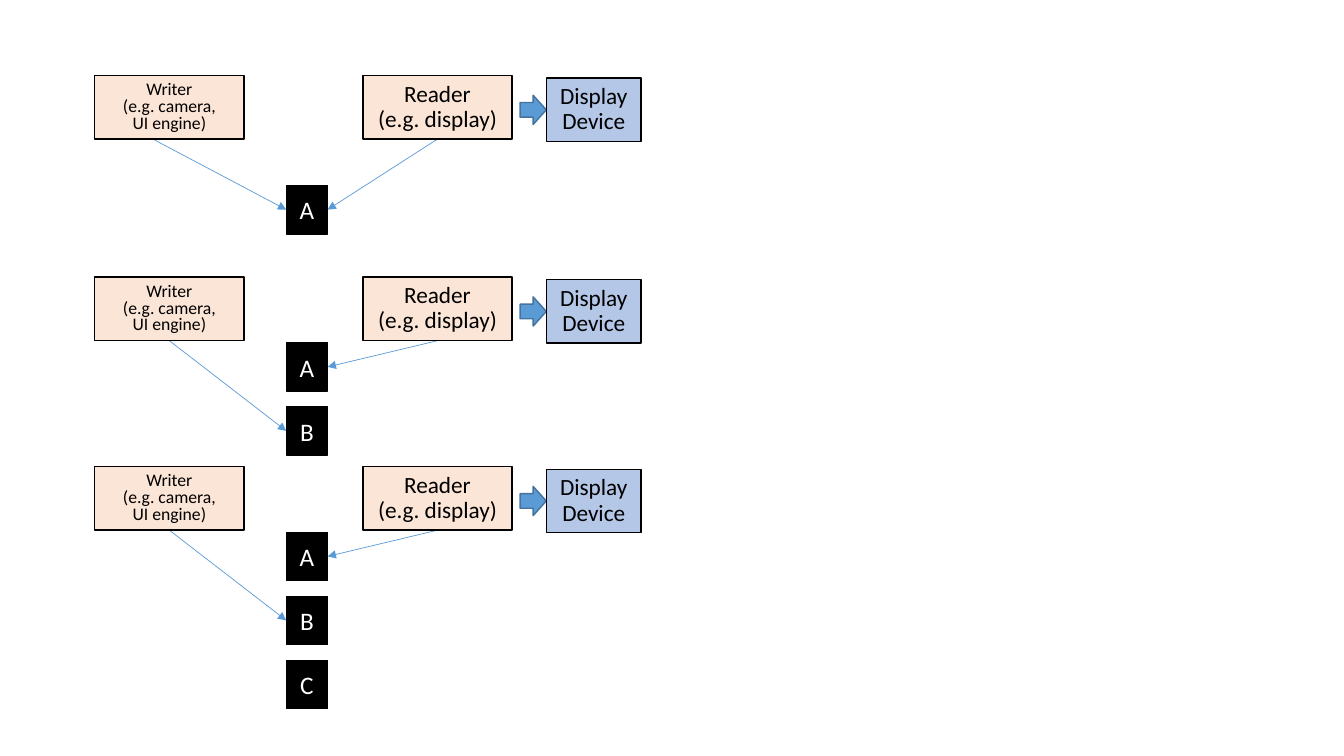
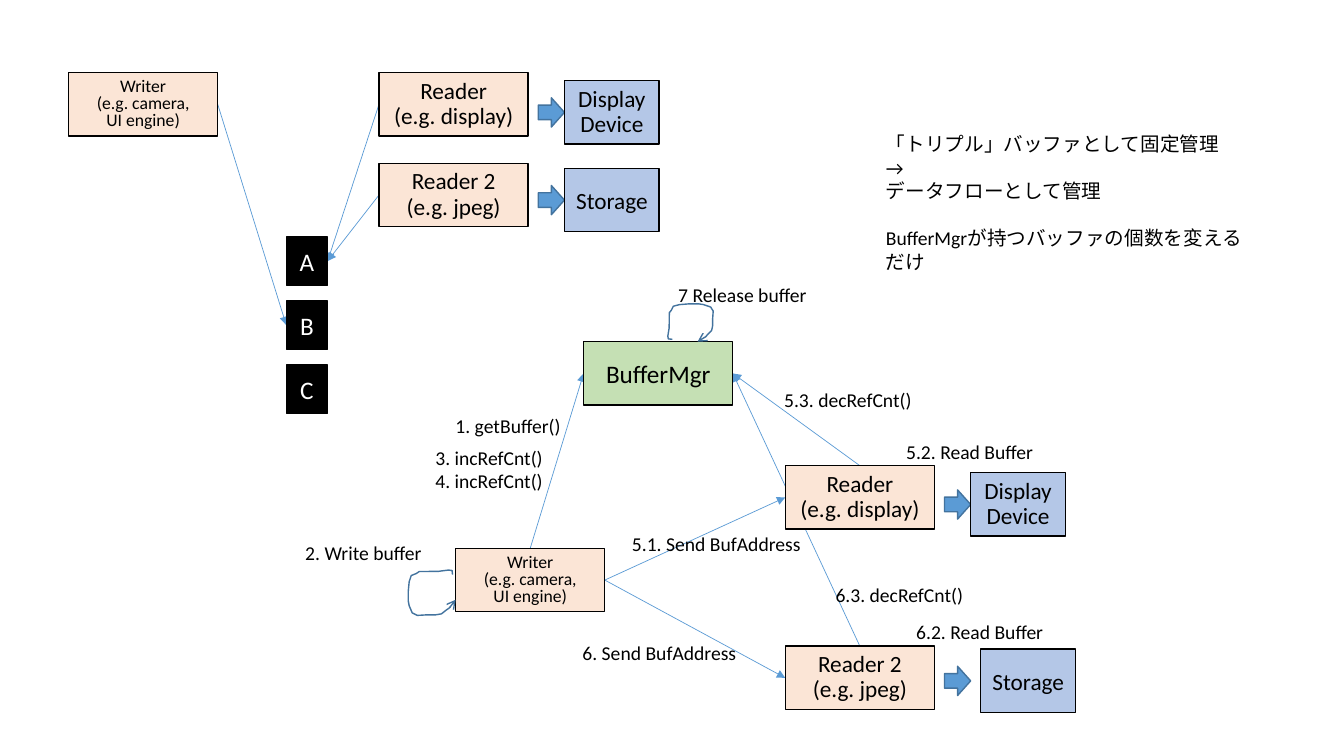
from dataclasses import dataclass

from lxml import etree
from pptx import Presentation
from pptx import util as u
from pptx.dml.color import RGBColor
from pptx.enum import shapes, text
from pptx.oxml import ns

# Grid: every length below is counted in cells of a tenth of an inch
CELL = u.Inches(0.1)
COLUMNS, ROWS = 133.33, 75


@dataclass(frozen=True)
class Theme:
    font: str = "Calibri"
    ink: str = "000000"
    arrow: str = "5B9BD5"
    outline: str = "43739E"
    label_size: float = 14
    thin: float = 0.5
    border: float = 1


THEME = Theme()

# Kind of box: size in cells and look
KINDS = {
    "writer": dict(size=(14.8, 6.3), fill="FBE5D6", color=THEME.ink, points=12.6, spacing=0.8),
    "reader": dict(size=(14.8, 6.3), fill="FBE5D6", color=THEME.ink, points=16.6, spacing=0.9),
    "manager": dict(size=(14.8, 6.3), fill="C5E0B4", color=THEME.ink, points=18, spacing=1.0),
    "device": dict(size=(9.4, 6.3), fill="B4C7E7", color=THEME.ink, points=16.6, spacing=0.9),
    "storage": dict(size=(9.4, 6.3), fill="B4C7E7", color=THEME.ink, points=16.6, spacing=1.0),
    "buffer": dict(size=(4.1, 4.8), fill=THEME.ink, color="FFFFFF", points=18, spacing=1.0),
}
BUFFER_PITCH = 6.35
BLOCK_ARROW = (2.6, 2.9)

WRITER = ("Writer", "(e.g. camera,", "UI engine)")
READER = ("Reader", "(e.g. display)")
READER_2 = ("Reader 2", "(e.g. jpeg)")
DEVICE = ("Display Device",)
STORAGE = ("Storage",)

# Hand-drawn loop, relative to its arrow tip
LOOP = [(-0.4, 0.5), (-0.6, 0.8), (-0.9, 1.0), (-1.4, 1.4), (-2.0, 1.5), (-2.9, 1.5),
        (-3.8, 1.55), (-4.3, 1.3), (-4.6, 0.6), (-4.7, 0.1), (-4.7, -0.8), (-4.6, -1.8),
        (-4.4, -2.4), (-3.9, -2.6), (-3.6, -2.8), (-1.7, -2.82), (-0.7, -2.95),
        (-0.35, -2.9), (-0.3, -2.5)]


@dataclass(frozen=True)
class Box:
    kind: str
    lines: tuple
    x: float
    y: float

    @property
    def size(self):
        return KINDS[self.kind]["size"]

    def at(self, across, down):
        """Point at the given shares of the width and height."""
        return self.x + across * self.size[0], self.y + down * self.size[1]

    @property
    def left(self):
        return self.at(0, 0.5)

    @property
    def right(self):
        return self.at(1, 0.5)

    @property
    def top(self):
        return self.at(0.5, 0)

    @property
    def bottom(self):
        return self.at(0.5, 1)


def cells(*lengths):
    return [u.Emu(round(length * CELL)) for length in lengths]


def rgb(value):
    return RGBColor.from_string(value)


def set_line(item, color, points):
    item.line.color.rgb = rgb(color)
    item.line.width = u.Pt(points)


def add_head(item, end, style):
    etree.SubElement(item.line._get_or_add_ln(), ns.qn(f"a:{end}"), type=style)


def write(frame, lines, color, points, spacing=1.0, align=text.PP_ALIGN.LEFT):
    for index, line in enumerate(lines):
        para = frame.paragraphs[0] if index == 0 else frame.add_paragraph()
        para.alignment, para.line_spacing = align, spacing
        span = para.add_run()
        span.text = line
        span.font.color.rgb = rgb(color)
        for name, value in dict(name=THEME.font, size=u.Pt(points)).items():
            setattr(span.font, name, value)


def preset(page, shape_type, x, y, size, fill, outline):
    shape = page.shapes.add_shape(shape_type, *cells(x, y, *size))
    shape.shadow.inherit = False
    shape.fill.solid()
    shape.fill.fore_color.rgb = rgb(fill)
    set_line(shape, outline, THEME.border)
    return shape


def draw_box(page, box):
    look = KINDS[box.kind]
    shape = preset(page, shapes.MSO_SHAPE.RECTANGLE, box.x, box.y, box.size, look["fill"], THEME.ink)
    frame = shape.text_frame
    frame.word_wrap = True
    frame.vertical_anchor = text.MSO_ANCHOR.MIDDLE
    write(frame, box.lines, look["color"], look["points"], look["spacing"], text.PP_ALIGN.CENTER)


def draw_arrow(page, start, end):
    line = page.shapes.add_connector(shapes.MSO_CONNECTOR.STRAIGHT, *cells(*start, *end))
    set_line(line, THEME.arrow, THEME.thin)
    add_head(line, "tailEnd", "triangle")
    etree.SubElement(line._element.spPr, ns.qn("a:effectLst"))


def draw_graph(page, boxes, arrows):
    """Arrows lie behind the boxes they join."""
    for start, end in arrows:
        draw_arrow(page, start, end)
    for box in boxes:
        draw_box(page, box)


def draw_output(page, reader, kind, lines, drop, gap=1.0, slack=0.0):
    """Block arrow and target to the right of a reader."""
    width, height = BLOCK_ARROW
    arrow_x = reader.right[0] + gap
    target = Box(kind, lines, arrow_x + width + slack, reader.y + drop)
    preset(page, shapes.MSO_SHAPE.RIGHT_ARROW, arrow_x, target.left[1] - height / 2,
           BLOCK_ARROW, THEME.arrow, THEME.outline)
    draw_box(page, target)


def draw_loop(page, tip, upright=False):
    x, y = tip
    steps = [(dy, 0.8 * dx) if upright else (dx, dy) for dx, dy in LOOP]
    builder = page.shapes.build_freeform(*cells(x, y))
    builder.add_line_segments([cells(x + dx, y + dy) for dx, dy in steps], close=False)
    loop = builder.convert_to_shape()
    loop.shadow.inherit = False
    loop.fill.background()
    set_line(loop, THEME.outline, THEME.border)
    add_head(loop, "headEnd", "arrow")


def draw_text(page, x, y, width, height, lines, wrap=False):
    frame = page.shapes.add_textbox(*cells(x, y, width, height)).text_frame
    frame.word_wrap = wrap
    write(frame, lines, THEME.ink, THEME.label_size)
    return frame


def buffer_stack(names, x, y):
    return [Box("buffer", (name,), x, y + index * BUFFER_PITCH) for index, name in enumerate(names)]


# Region: one writer and one reader sharing a stack of buffers
def buffering_panel(page, left, top, names, stack_top, writer_exit=0.5):
    writer = Box("writer", WRITER, left, top)
    reader = Box("reader", READER, left + 26.6, top)
    stack = buffer_stack(names, left + 19, top + stack_top)
    written = stack[min(1, len(stack) - 1)]
    draw_graph(page, [writer, reader, *stack], [
        (writer.at(writer_exit, 1), written.left),
        (reader.bottom, stack[0].right),
    ])
    draw_output(page, reader, "device", DEVICE, drop=0.25, gap=0.8)


# Region: two readers on the same buffer
def two_reader_panel(page, left, top):
    writer = Box("writer", WRITER, left, top)
    reader = Box("reader", READER, left + 30.8, top)
    reader_2 = Box("reader", READER_2, left + 30.8, top + 9)
    stack = buffer_stack("ABC", left + 21.6, top + 16.3)
    draw_graph(page, [writer, reader, reader_2, *stack], [
        (writer.right, stack[1].left),
        (reader.left, stack[0].right),
        (reader_2.left, stack[0].right),
    ])
    draw_output(page, reader, "device", DEVICE, drop=0.8)
    draw_output(page, reader_2, "storage", STORAGE, drop=0.5)


# Region: numbered calls around the buffer manager
def manager_flow(page, left, top):
    manager = Box("manager", ("BufferMgr",), left + 28.9, top + 6.9)
    writer = Box("writer", WRITER, left + 16.2, top + 27.4)
    reader = Box("reader", READER, left + 48.9, top + 19.2)
    reader_2 = Box("reader", READER_2, left + 48.9, top + 37.1)
    draw_graph(page, [manager, writer, reader, reader_2], [
        (reader_2.top, manager.right),
        (reader.top, manager.right),
        (writer.top, manager.left),
        (writer.right, reader.left),
        (writer.right, reader_2.left),
    ])
    draw_output(page, reader, "device", DEVICE, drop=0.7)
    draw_output(page, reader_2, "storage", STORAGE, drop=0.3, slack=1)
    draw_loop(page, (writer.x, writer.y + 5.1))
    draw_loop(page, (manager.x + 11.3, manager.y), upright=True)

    labels = [
        (15.2, 13.6, 12.6, ["1. getBuffer()"]),
        (0.3, 26.2, 13.7, ["2. Write buffer"]),
        (13.2, 16.7, 12.8, ["3. incRefCnt()", "4. incRefCnt()"]),
        (32.7, 25.3, 18.9, ["5.1. Send BufAddress"]),
        (59.9, 16.2, 14.8, ["5.2. Read Buffer"]),
        (47.8, 11.0, 14.8, ["5.3. decRefCnt()"]),
        (27.8, 36.1, 17.3, ["6. Send BufAddress"]),
        (60.9, 34.0, 14.8, ["6.2. Read Buffer"]),
        (52.9, 30.3, 14.8, ["6.3. decRefCnt()"]),
        (37.3, 0.6, 14.9, ["7 Release buffer"]),
    ]
    for x, y, width, lines in labels:
        draw_text(page, left + x, top + y, width, 1.1 + 2.3 * len(lines), lines)


# Region: remark on managing buffers as a data flow
def remark(page, left, top):
    frame = draw_text(page, left, top, 39.2, 12.8, [
        "「トリプル」バッファとして固定管理",
        "→",
        "データフローとして管理",
        "BufferMgrが持つバッファの個数を変えるだけ",
    ], wrap=True)
    frame.paragraphs[-1].space_before = u.Pt(17)


def main():
    deck = Presentation()
    deck.slide_width, deck.slide_height = cells(COLUMNS, ROWS)
    blank = deck.slide_layouts[6]

    # Single, double and triple buffering
    page = deck.slides.add_slide(blank)
    buffering_panel(page, 9.4, 7.5, "A", 10.9, writer_exit=0.39)
    buffering_panel(page, 9.4, 27.5, "AB", 6.5)
    buffering_panel(page, 9.4, 46.3, "ABC", 6.5)

    # Buffers handed out by a manager
    page = deck.slides.add_slide(blank)
    two_reader_panel(page, 6.8, 7.2)
    manager_flow(page, 29, 27)
    remark(page, 86.9, 12.6)

    deck.save("out.pptx")


if __name__ == "__main__":
    main()
